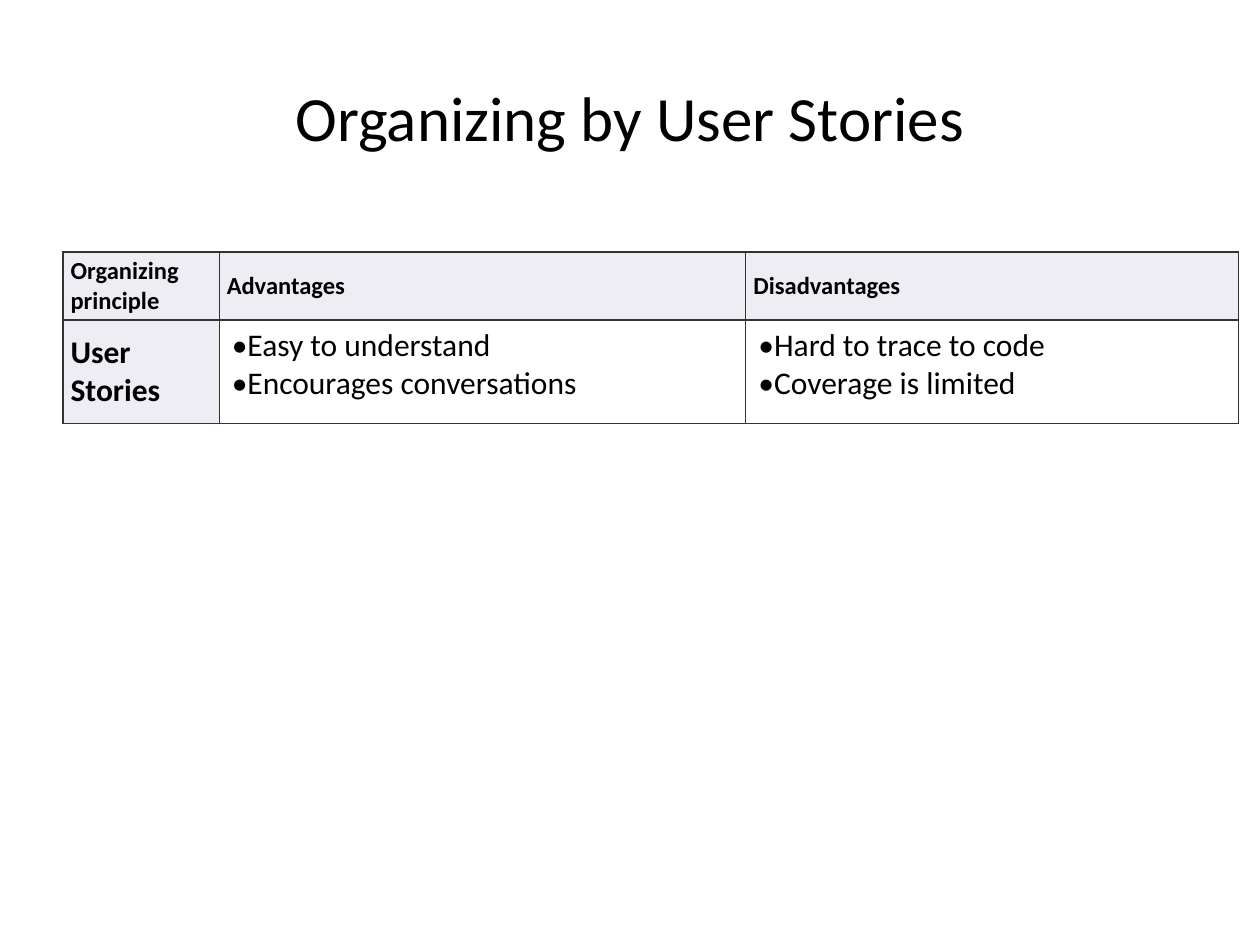
from lxml import etree
from pptx import Presentation
from pptx.dml.color import RGBColor
from pptx.enum.text import MSO_ANCHOR, PP_ALIGN
from pptx.oxml.ns import qn
from pptx.util import Inches, Pt

WIDTH, HEIGHT = Inches(10), Inches(7.5)
FONT = "Calibri"
BLACK, WHITE, SHADE, BORDER = "000000", "FFFFFF", "EDEDF3", "333333"
COLUMNS = [1.24, 4.18, 3.91]
ROWS = [0.54, 0.82]
CONTENT = [
    [["Organizing principle"], ["Advantages"], ["Disadvantages"]],
    [["User Stories"],
     ["Easy to understand", "Encourages conversations"],
     ["Hard to trace to code", "Coverage is limited"]],
]
LABEL_MARGINS = {"margin_left": Inches(0.06), "margin_right": Inches(0.06),
                 "margin_top": Inches(0.03), "margin_bottom": Inches(0.03),
                 "vertical_anchor": MSO_ANCHOR.MIDDLE}
BODY_MARGINS = {"margin_left": Inches(0.1), "margin_right": Inches(0.1),
                "margin_top": Inches(0.05), "margin_bottom": Inches(0.05),
                "vertical_anchor": MSO_ANCHOR.TOP}


def color(value):
    return RGBColor.from_string(value)


def set_values(target, values):
    for name, value in values.items():
        setattr(target, name, value)


def add_bullet(p):
    props = p._p.get_or_add_pPr()
    etree.SubElement(props, qn("a:buFont"), typeface=FONT)
    etree.SubElement(props, qn("a:buChar"), char="•")


def write(tf, lines, size, bold=False, align=PP_ALIGN.LEFT, bullet=False):
    for i, line in enumerate(lines):
        p = tf.paragraphs[0] if i == 0 else tf.add_paragraph()
        p.alignment = align
        if bullet:
            add_bullet(p)
        r = p.add_run()
        r.text = line
        set_values(r.font, {"name": FONT, "size": Pt(size), "bold": bold})
        r.font.color.rgb = color(BLACK)


def add_borders(cell):
    props = cell._tc.get_or_add_tcPr()
    for i, side in enumerate(("lnL", "lnR", "lnT", "lnB")):
        line = etree.Element(qn(f"a:{side}"), w=str(Pt(0.75)))
        fill = etree.SubElement(line, qn("a:solidFill"))
        etree.SubElement(fill, qn("a:srgbClr"), val=BORDER)
        props.insert(i, line)  # borders come before the fill


def add_title(s, box, text):
    sp = s.shapes.add_textbox(*box)
    tf = sp.text_frame
    set_values(tf, {"word_wrap": True, "vertical_anchor": MSO_ANCHOR.MIDDLE})
    write(tf, [text], 36, align=PP_ALIGN.CENTER)


def add_comparison(s, left, top):
    table = s.shapes.add_table(len(ROWS), len(COLUMNS), left, top,
                               Inches(sum(COLUMNS)), Inches(sum(ROWS))).table
    for column, width in zip(table.columns, COLUMNS):
        column.width = Inches(width)
    for row, height in zip(table.rows, ROWS):
        row.height = Inches(height)

    # Header row and first column are shaded labels, the rest are bullet lists
    for i, row in enumerate(CONTENT):
        for j, lines in enumerate(row):
            cell = table.cell(i, j)
            label = i == 0 or j == 0
            set_values(cell, LABEL_MARGINS if label else BODY_MARGINS)
            cell.fill.solid()
            cell.fill.fore_color.rgb = color(SHADE if label else WHITE)
            add_borders(cell)
            write(cell.text_frame, lines, 14 if i == 0 else 18,
                  bold=label, bullet=not label)


def main():
    prs = Presentation()
    set_values(prs, {"slide_width": WIDTH, "slide_height": HEIGHT})
    s = prs.slides.add_slide(prs.slide_layouts[6])
    left = int(WIDTH * 0.05)
    # Title
    add_title(s, (left, int(HEIGHT * 0.04), WIDTH - 2 * left, Inches(1.25)),
              "Organizing by User Stories")
    # Comparison table
    add_comparison(s, left, Inches(2))
    prs.save("out.pptx")


if __name__ == "__main__":
    main()
